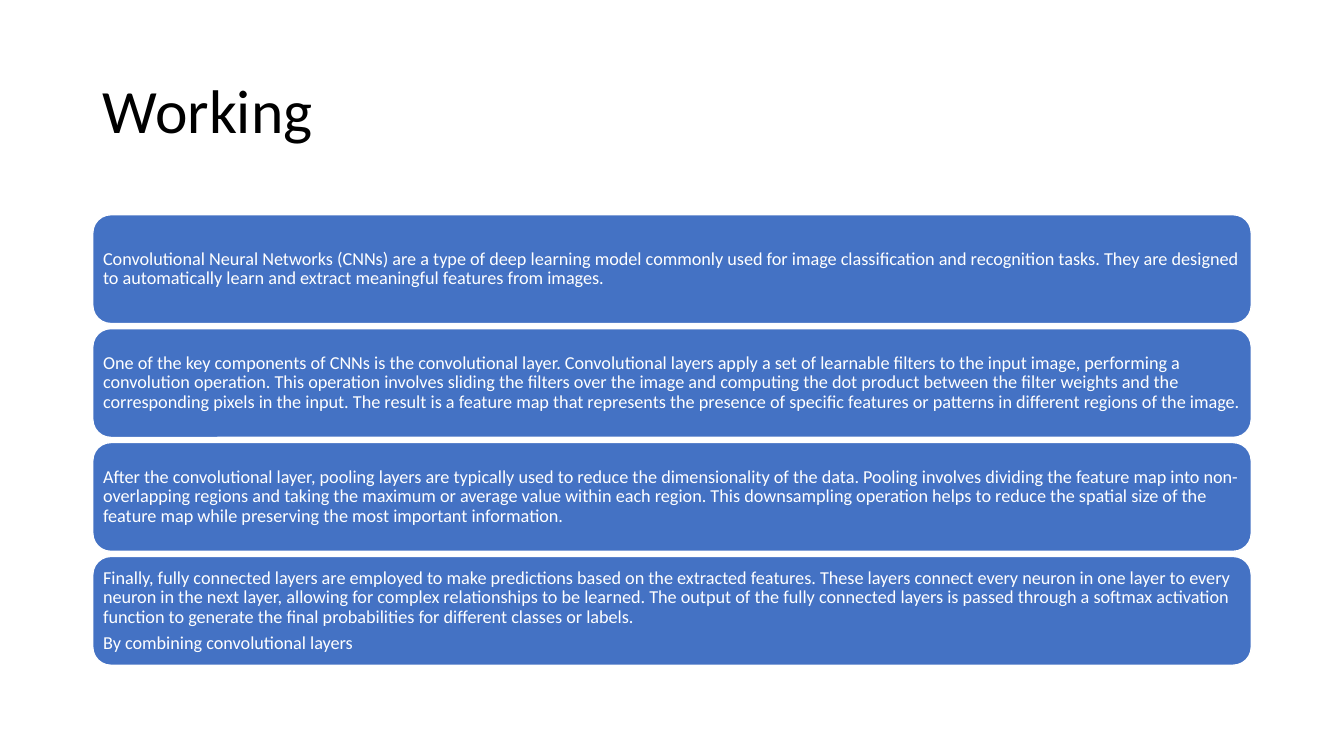
import pptx
import pptx.dml.color
import pptx.enum.shapes
import pptx.enum.text
import pptx.util

THEME = {
    "font": "Calibri",
    "title_size": 44,
    "body_size": 13,
    "title_color": "000000",
    "body_color": "FFFFFF",
    "card_fill": "4472C4",
    "card_line": "FFFFFF",
}

CARDS = [
    ["Convolutional Neural Networks (CNNs) are a type of deep learning model commonly used for image "
     "classification and recognition tasks. They are designed to automatically learn and extract "
     "meaningful features from images."],
    ["One of the key components of CNNs is the convolutional layer. Convolutional layers apply a set of "
     "learnable filters to the input image, performing a convolution operation. This operation involves "
     "sliding the filters over the image and computing the dot product between the filter weights and the "
     "corresponding pixels in the input. The result is a feature map that represents the presence of "
     "specific features or patterns in different regions of the image."],
    ["After the convolutional layer, pooling layers are typically used to reduce the dimensionality of the "
     "data. Pooling involves dividing the feature map into non-overlapping regions and taking the maximum "
     "or average value within each region. This downsampling operation helps to reduce the spatial size of "
     "the feature map while preserving the most important information."],
    ["Finally, fully connected layers are employed to make predictions based on the extracted features. "
     "These layers connect every neuron in one layer to every neuron in the next layer, allowing for "
     "complex relationships to be learned. The output of the fully connected layers is passed through a "
     "softmax activation function to generate the final probabilities for different classes or labels.",
     "By combining convolutional layers"],
]


def write_paragraphs(shape, texts, size, color, space_after, inset):
    """Fill a shape with left-aligned, vertically centred paragraphs."""
    frame = shape.text_frame
    frame_format = {
        "text": "\n".join(texts),
        "word_wrap": True,
        "vertical_anchor": pptx.enum.text.MSO_ANCHOR.MIDDLE,
    }
    for side in ("left", "top", "right", "bottom"):
        frame_format[f"margin_{side}"] = pptx.util.Inches(inset)
    for name, value in frame_format.items():
        setattr(frame, name, value)
    paragraph_format = {
        "alignment": pptx.enum.text.PP_ALIGN.LEFT,
        "line_spacing": 0.9,
        "space_before": pptx.util.Pt(0),
        "space_after": pptx.util.Pt(space_after),
    }
    for paragraph in frame.paragraphs:
        for name, value in paragraph_format.items():
            setattr(paragraph, name, value)
        font = paragraph.runs[0].font
        font.name = THEME["font"]
        font.size = pptx.util.Pt(size)
        font.color.rgb = pptx.dml.color.RGBColor.from_string(color)


presentation = pptx.Presentation()
presentation.slide_width = pptx.util.Inches(13.33)
presentation.slide_height = pptx.util.Inches(7.5)
slide = presentation.slides.add_slide(presentation.slide_layouts[5])

content_left = pptx.util.Inches(0.92)
content_width = presentation.slide_width - 2 * content_left

title = slide.shapes.title
title_place = {
    "left": content_left,
    "top": pptx.util.Inches(0.4),
    "width": content_width,
    "height": pptx.util.Inches(1.45),
}
for name, value in title_place.items():
    setattr(title, name, value)
write_paragraphs(title, ["Working"], THEME["title_size"], THEME["title_color"], 0, 0.1)

cards_top = pptx.util.Inches(2.13)
card_height = pptx.util.Inches(1.08)
card_gap = pptx.util.Inches(0.05)

for row, texts in enumerate(CARDS):
    card = slide.shapes.add_shape(
        pptx.enum.shapes.MSO_SHAPE.ROUNDED_RECTANGLE,
        content_left, cards_top + row * (card_height + card_gap), content_width, card_height)
    card.shadow.inherit = False
    card.fill.solid()
    card.fill.fore_color.rgb = pptx.dml.color.RGBColor.from_string(THEME["card_fill"])
    card.line.color.rgb = pptx.dml.color.RGBColor.from_string(THEME["card_line"])
    card.line.width = pptx.util.Pt(1)
    write_paragraphs(card, texts, THEME["body_size"], THEME["body_color"], 4.5, 0.05)

presentation.save("out.pptx")
